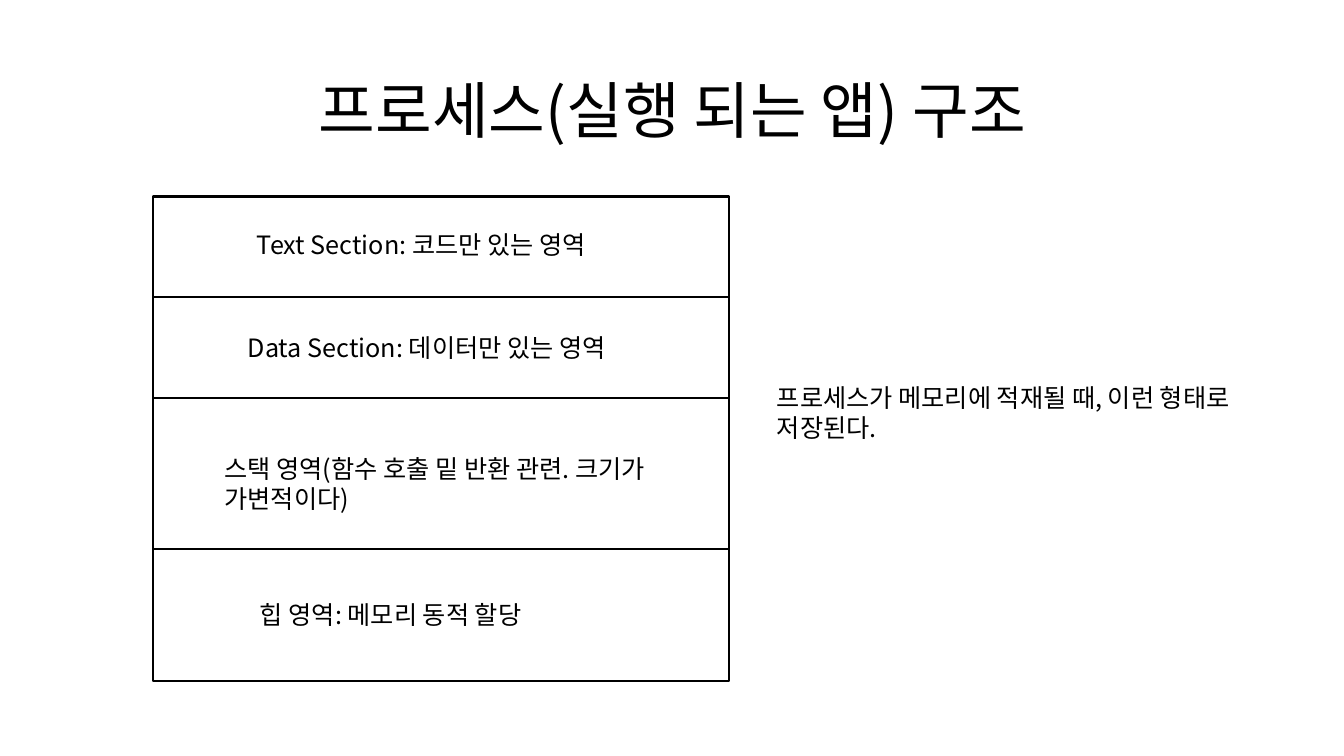
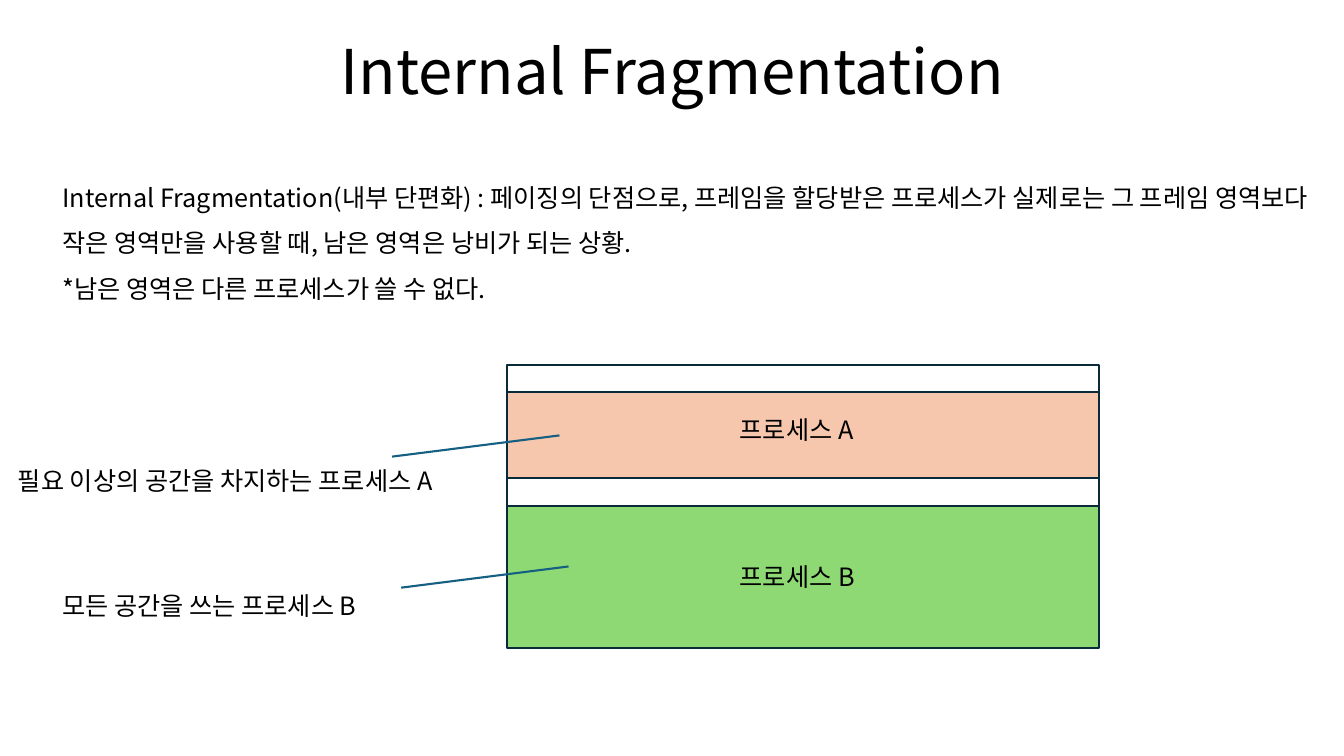
from lxml import etree
from pptx import Presentation
from pptx.dml.color import RGBColor
from pptx.enum import shapes, text
from pptx.oxml import ns
from pptx.util import Inches, Pt

COLORS = {
    "ink": "000000",
    "paper": "FFFFFF",
    "frame": "092A39",
    "pointer": "156082",
    "process_a": "F6C6AD",
    "process_b": "8ED973",
}
FONT = "Noto Sans CJK KR"
CELL = Inches(0.1)  # one column or row of the layout grid
COLUMNS, ROWS = 133.33, 75
TITLE_SIZE, BODY_SIZE, LINE_WIDTH = Pt(44), Pt(18), Pt(1.5)
TITLE_FRAME = {"word_wrap": True, "auto_size": text.MSO_AUTO_SIZE.NONE,
               "vertical_anchor": text.MSO_ANCHOR.MIDDLE}
BODY_FRAME = {"word_wrap": True,
              "auto_size": text.MSO_AUTO_SIZE.SHAPE_TO_FIT_TEXT}


def grid(*cells):
    return [round(cell * CELL) for cell in cells]


def apply(target, values):
    for name, value in values.items():
        setattr(target, name, value)


class Deck:
    """Holds the shared style and the slide being built."""

    def __init__(self):
        self.prs = Presentation()
        self.prs.slide_width, self.prs.slide_height = grid(COLUMNS, ROWS)
        self.slide = None

    def color(self, name):
        return RGBColor.from_string(COLORS[name])

    def fill_text(self, frame, lines, size, frame_format, paragraph_format):
        apply(frame, frame_format)
        for index, line in enumerate(lines):
            paragraph = frame.paragraphs[0] if index == 0 else frame.add_paragraph()
            apply(paragraph, paragraph_format)
            run = paragraph.add_run()
            run.text = line
            apply(run.font, {"size": size, "name": FONT})
            run.font.color.rgb = self.color("ink")
            # Hangul takes its typeface from the East Asian font slot
            east_asian = etree.SubElement(run._r.get_or_add_rPr(), ns.qn("a:ea"))
            east_asian.set("typeface", FONT)

    def outline(self, line, color):
        line.color.rgb = self.color(color)
        line.width = LINE_WIDTH

    def new_slide(self, heading, top):
        self.slide = self.prs.slides.add_slide(self.prs.slide_layouts[5])
        title = self.slide.shapes.title
        left, top, width, height = grid(9.2, top, 115, 14.5)
        apply(title, {"left": left, "top": top, "width": width, "height": height})
        self.fill_text(title.text_frame, [heading], TITLE_SIZE, TITLE_FRAME,
                       {"alignment": text.PP_ALIGN.CENTER, "line_spacing": 0.9})

    def note(self, left, top, width, height, *lines, **paragraph_format):
        box = self.slide.shapes.add_textbox(*grid(left, top, width, height))
        self.fill_text(box.text_frame, lines, BODY_SIZE, BODY_FRAME,
                       paragraph_format)

    def block(self, left, top, width, height, fill="paper", line="ink"):
        block = self.slide.shapes.add_shape(
            shapes.MSO_SHAPE.RECTANGLE, *grid(left, top, width, height))
        block.shadow.inherit = False
        block.fill.solid()
        block.fill.fore_color.rgb = self.color(fill)
        self.outline(block.line, line)

    def pointer(self, left, bottom, width=16.6, rise=2.1):
        pointer = self.slide.shapes.add_connector(
            shapes.MSO_CONNECTOR.STRAIGHT,
            *grid(left, bottom, left + width, bottom - rise))
        self.outline(pointer.line, "pointer")
        etree.SubElement(pointer._element.spPr, ns.qn("a:effectLst"))


def process_structure(deck):
    deck.new_slide("프로세스(실행 되는 앱) 구조", top=4)

    # Memory sections stacked from top to bottom:
    # height, then label left, offset from the section top, width, height
    sections = [
        (10, (24.5, 2.8, 40.4, 4), "Text Section: 코드만 있는 영역"),
        (10, (23.6, 3, 47.3, 4), "Data Section: 데이터만 있는 영역"),
        (15, (21.3, 5, 47.4, 7.1), "스택 영역(함수 호출 밑 반환 관련. 크기가 가변적이다)"),
        (13.1, (24.8, 4.5, 46.1, 4), "힙 영역: 메모리 동적 할당"),
    ]
    section_top = 19.5
    for section_height, (left, offset, width, height), label in sections:
        deck.block(15.2, section_top, 57.1, section_height)
        deck.note(left, section_top + offset, width, height, label)
        section_top += section_height

    # Remark beside the stack
    deck.note(76.1, 37.4, 53, 7.1,
              "프로세스가 메모리에 적재될 때, 이런 형태로 저장된다.")


def internal_fragmentation(deck):
    deck.new_slide("Internal Fragmentation", top=0.1)

    # Definition
    deck.note(5.2, 16.1, 125.9, 14.1,
              "Internal Fragmentation(내부 단편화) : 페이징의 단점으로, "
              "프레임을 할당받은 프로세스가 실제로는 그 프레임 영역보다 "
              "작은 영역만을 사용할 때, 남은 영역은 낭비가 되는 상황.",
              "*남은 영역은 다른 프로세스가 쓸 수 없다.",
              line_spacing=1.5)

    # Two equal frames; process A fills only part of the first
    frame_left, frame_width = 50.3, 58.7
    for top, height, fill in [(36.2, 14.1, "paper"), (50.2, 14.1, "process_b"),
                              (38.9, 8.5, "process_a")]:
        deck.block(frame_left, top, frame_width, height, fill, "frame")

    # Process names and the captions that point at them
    processes = [
        ("프로세스 A", 40.6, (38.9, 45.3),
         (0.8, 45.7, 48.5, 4), "필요 이상의 공간을 차지하는 프로세스 A"),
        ("프로세스 B", 55.2, (39.8, 58.3),
         (5.2, 58.1, 38.7, 4), "모든 공간을 쓰는 프로세스 B"),
    ]
    for process, process_top, pointer_start, caption_place, caption in processes:
        deck.pointer(*pointer_start)
        deck.note(*caption_place, caption)
        deck.note(72.4, process_top, 30.6, 4, process)


def main():
    deck = Deck()
    process_structure(deck)
    internal_fragmentation(deck)
    deck.prs.save("out.pptx")


if __name__ == "__main__":
    main()
